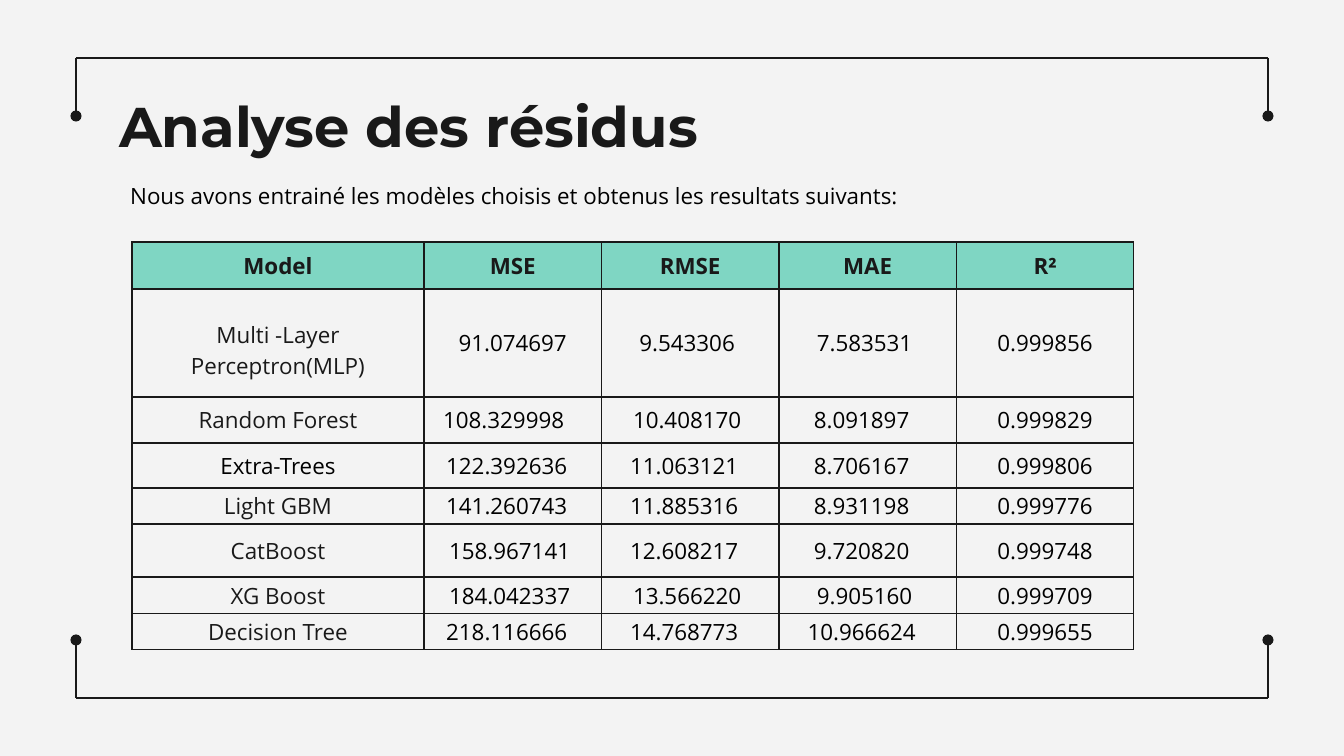
from dataclasses import dataclass

from lxml import etree
from pptx import Presentation
from pptx.dml.color import RGBColor
from pptx.enum.shapes import MSO_CONNECTOR
from pptx.enum.text import MSO_ANCHOR, MSO_AUTO_SIZE, PP_ALIGN
from pptx.oxml.ns import qn
from pptx.util import Emu, Pt

STRAIGHT = MSO_CONNECTOR.STRAIGHT
TOP, MIDDLE = MSO_ANCHOR.TOP, MSO_ANCHOR.MIDDLE
LEFT, CENTER = PP_ALIGN.LEFT, PP_ALIGN.CENTER
NO_AUTOFIT = MSO_AUTO_SIZE.NONE

EMU_PER_PX = 914400 / 134.4
INK, BLACK, MINT, PAPER = "191919", "000000", "7FD6C3", "F3F3F3"
LINE_WIDTH = Pt(0.75)
TITLE_FONT, BODY_FONT = "Montserrat", "Open Sans"

FRAME_LEFT, FRAME_RIGHT = 76, 1268
FRAME_TOP, FRAME_BOTTOM = 58, 698
FRAME_ARM = 58
TABLE_LEFT, TABLE_TOP, TABLE_WIDTH = 132, 242, 1002
MODEL_WIDTH = 292
HEADER_HEIGHT = 47
NUDGE = 6


@dataclass(frozen=True)
class ModelRow:
    """nudges counts the steps of right margin in each value cell."""
    model: str
    values: tuple[str, ...]
    nudges: tuple[int, ...]
    height: int
    color: str = INK
    model_top: int = 0


HEADERS = ("Model", "MSE", "RMSE", "MAE", "R²")
ROWS = (
    ModelRow("Multi -Layer Perceptron(MLP)", ("91.074697", "9.543306", "7.583531", "0.999856"),
             (0, 1, 1, 0), 108, model_top=15),
    ModelRow("Random Forest", ("108.329998", "10.408170", "8.091897", "0.999829"),
             (3, 1, 2, 0), 46),
    ModelRow("Extra-Trees", ("122.392636", "11.063121", "8.706167", "0.999806"),
             (2, 2, 2, 0), 45, color=BLACK),
    ModelRow("Light GBM", ("141.260743", "11.885316", "8.931198", "0.999776"),
             (2, 2, 2, 0), 36),
    ModelRow("CatBoost", ("158.967141", "12.608217", "9.720820", "0.999748"),
             (1, 2, 2, 0), 53),
    ModelRow("XG Boost", ("184.042337", "13.566220", "9.905160", "0.999709"),
             (1, 1, 1, 0), 37),
    ModelRow("Decision Tree", ("218.116666", "14.768773", "10.966624", "0.999655"),
             (2, 2, 2, 0), 36),
)


def px(length: int) -> Emu:
    return Emu(round(length * EMU_PER_PX))


def rgb(color: str) -> RGBColor:
    return RGBColor.from_string(color)


def write_text(text_frame, text: str, *, size: int = 12, font: str = BODY_FONT,
               color: str = INK, bold: bool = False, align=CENTER, space_after: int = 0) -> None:
    paragraph = text_frame.paragraphs[0]
    paragraph.alignment = align
    paragraph.space_after = Pt(space_after)
    run = paragraph.add_run()
    run.text = text
    run.font.size = Pt(size)
    run.font.name = font
    run.font.bold = bold
    run.font.color.rgb = rgb(color)


def add_line(slide, start: tuple[int, int], end: tuple[int, int], dot: bool = False) -> None:
    """Draw a line, with a round dot at its end if asked."""
    connector = slide.shapes.add_connector(STRAIGHT, *map(px, start + end))
    connector.line.color.rgb = rgb(INK)
    connector.line.width = LINE_WIDTH
    if dot:
        etree.SubElement(connector.line._get_or_add_ln(), qn("a:tailEnd"), type="oval")
    etree.SubElement(connector._element.spPr, qn("a:effectLst"))


def add_frame(slide) -> None:
    for edge, arm in ((FRAME_TOP, FRAME_ARM), (FRAME_BOTTOM, -FRAME_ARM)):
        add_line(slide, (FRAME_LEFT, edge), (FRAME_RIGHT, edge))
        for side in (FRAME_LEFT, FRAME_RIGHT):
            add_line(slide, (side, edge), (side, edge + arm), dot=True)


def add_borders(cell) -> None:
    properties = cell._tc.get_or_add_tcPr()
    for index, name in enumerate(("a:lnL", "a:lnR", "a:lnT", "a:lnB")):
        border = etree.Element(qn(name), w=str(LINE_WIDTH))
        fill = etree.SubElement(border, qn("a:solidFill"))
        etree.SubElement(fill, qn("a:srgbClr"), val=INK)
        properties.insert(index, border)


def fill_cell(cell, text: str, *, left: int = 0, top: int = 0, right: int = 0,
              bottom: int = 0, fill: str = "", **text_format) -> None:
    cell.margin_left, cell.margin_top = px(left), px(top)
    cell.margin_right, cell.margin_bottom = px(right), px(bottom)
    cell.vertical_anchor = MIDDLE
    if fill:
        cell.fill.solid()
        cell.fill.fore_color.rgb = rgb(fill)
    else:
        cell.fill.background()
    add_borders(cell)
    write_text(cell.text_frame, text, **text_format)


def add_results_table(slide) -> None:
    heights = [HEADER_HEIGHT] + [row.height for row in ROWS]
    table = slide.shapes.add_table(len(heights), len(HEADERS), px(TABLE_LEFT), px(TABLE_TOP),
                                   px(TABLE_WIDTH), px(sum(heights))).table
    table.first_row = table.horz_banding = False
    value_width = px(TABLE_WIDTH - MODEL_WIDTH) // (len(HEADERS) - 1)
    for index, column in enumerate(table.columns):
        column.width = Emu(value_width) if index else px(MODEL_WIDTH)
    for table_row, height in zip(table.rows, heights):
        table_row.height = px(height)

    for index, header in enumerate(HEADERS):
        fill_cell(table.cell(0, index), header, left=13, top=8, right=13, bottom=8,
                  fill=MINT, bold=True)
    for row_index, row in enumerate(ROWS, start=1):
        fill_cell(table.cell(row_index, 0), row.model, top=row.model_top, color=row.color)
        for column_index, (value, nudge) in enumerate(zip(row.values, row.nudges), start=1):
            fill_cell(table.cell(row_index, column_index), value,
                      right=nudge * NUDGE, color=BLACK)


def add_title(slide) -> None:
    title = slide.shapes.title
    title.left, title.top, title.width, title.height = map(px, (106, 79, 1133, 84))
    frame = title.text_frame
    frame.auto_size = NO_AUTOFIT
    frame.vertical_anchor = TOP
    frame.margin_left = frame.margin_top = frame.margin_right = frame.margin_bottom = px(13)
    write_text(frame, "Analyse des résidus", size=30, font=TITLE_FONT, bold=True, align=LEFT)


def add_introduction(slide) -> None:
    frame = slide.shapes.add_textbox(*map(px, (117, 176, 1122, 40))).text_frame
    frame.word_wrap = True
    write_text(frame, "Nous avons entrainé les modèles choisis et obtenus les resultats suivants:",
               color=BLACK, align=LEFT, space_after=6)


def main() -> None:
    presentation = Presentation()
    presentation.slide_width, presentation.slide_height = px(1344), px(756)
    slide = presentation.slides.add_slide(presentation.slide_layouts[5])
    slide.background.fill.solid()
    slide.background.fill.fore_color.rgb = rgb(PAPER)
    add_frame(slide)
    add_title(slide)
    add_introduction(slide)
    add_results_table(slide)
    presentation.save("out.pptx")


if __name__ == "__main__":
    main()
